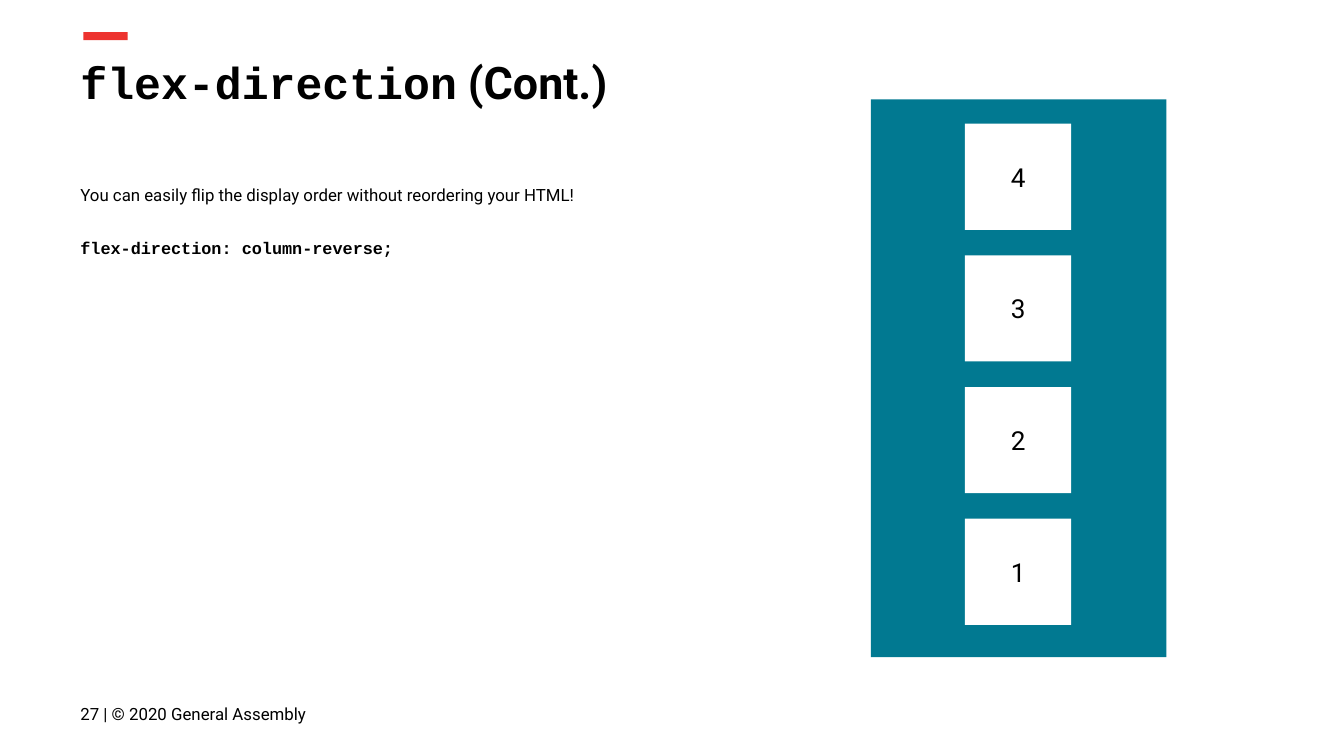
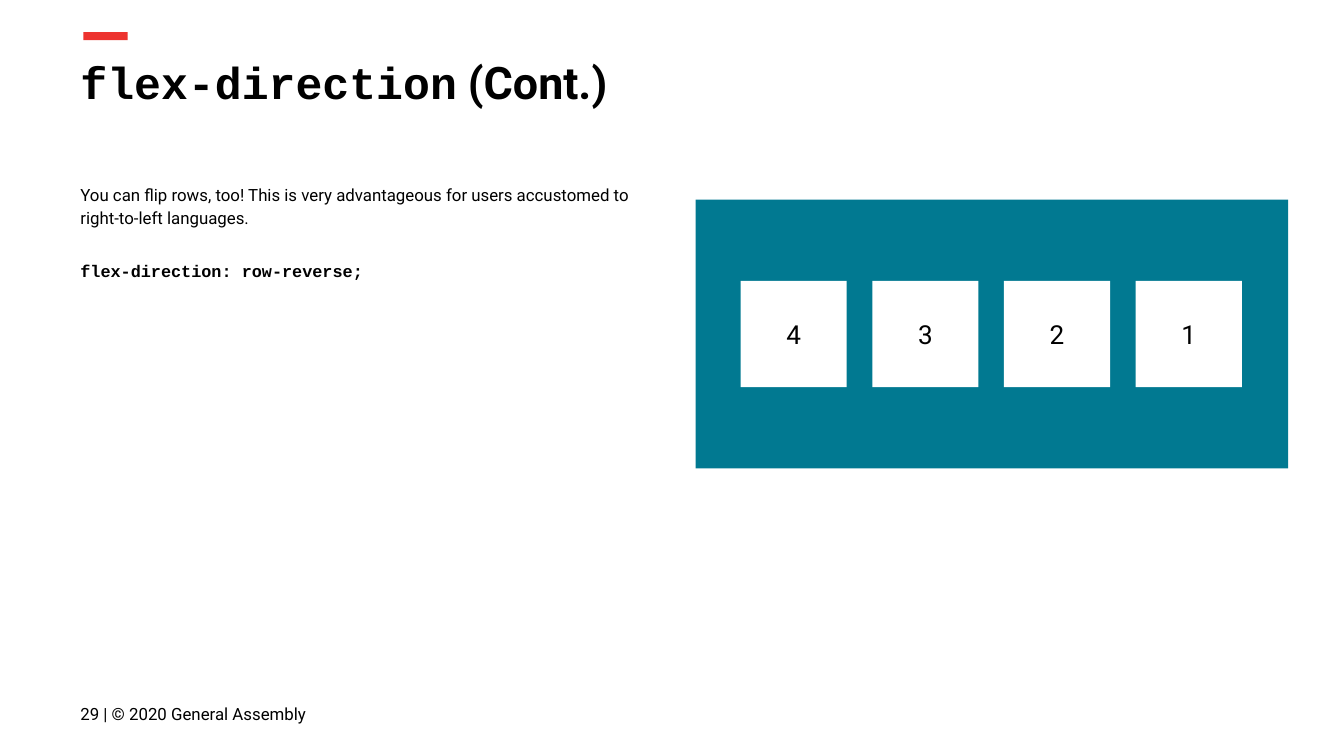
import dataclasses

import pptx
import pptx.dml.color
import pptx.enum.shapes
import pptx.enum.text
import pptx.util

Inches = pptx.util.Inches
Pt = pptx.util.Pt
Anchor = pptx.enum.text.MSO_ANCHOR
Align = pptx.enum.text.PP_ALIGN


@dataclasses.dataclass(frozen=True)
class Theme:
    ink: str = "000000"
    paper: str = "FFFFFF"
    accent: str = "ED332F"
    container: str = "017991"
    sans: str = "Roboto"
    mono: str = "Courier New"
    title_size: int = 24
    item_size: int = 14
    text_size: int = 9


theme = Theme()


def add_block(slide, box, fill):
    """Add a borderless rectangle."""
    block = slide.shapes.add_shape(
        pptx.enum.shapes.MSO_SHAPE.RECTANGLE, *map(Inches, box))
    block.shadow.inherit = False
    block.fill.solid()
    block.fill.fore_color.rgb = pptx.dml.color.RGBColor.from_string(fill)
    block.line.fill.background()
    return block


def set_text(shape, paragraphs, size, anchor=Anchor.TOP, align=Align.LEFT):
    """Write paragraphs, each a list of (text, font name, bold) runs."""
    frame = shape.text_frame
    frame.word_wrap = True
    frame.vertical_anchor = anchor
    frame.margin_left = frame.margin_right = Inches(0.1)
    frame.margin_top = frame.margin_bottom = Inches(0.1)
    for number, pieces in enumerate(paragraphs):
        paragraph = frame.add_paragraph() if number else frame.paragraphs[0]
        paragraph.alignment = align
        for text, font_name, bold in pieces:
            run = paragraph.add_run()
            run.text = text
            run.font.name = font_name
            run.font.bold = bold
            run.font.size = Pt(size)
            run.font.color.rgb = pptx.dml.color.RGBColor.from_string(theme.ink)
    return frame


# What differs between the slides
examples = [
    dict(page=27,
         message="You can easily flip the display order without reordering your HTML!",
         rule="flex-direction: column-reverse;", body_width=5.07,
         container=(6.48, 0.74, 2.2, 4.15), rotation=0,
         first_item=(7.18, 0.92), step=(0, 0.98)),
    dict(page=29,
         message="You can flip rows, too! This is very advantageous for users "
                 "accustomed to right-to-left languages.",
         rule="flex-direction: row-reverse;", body_width=4.5,
         container=(6.38, 0.28, 2, 4.41), rotation=270,
         first_item=(5.51, 2.09), step=(0.98, 0)),
]
item_side = 0.79

# 16:9 deck
deck = pptx.Presentation()
deck.slide_width = Inches(10)
deck.slide_height = Inches(10 * 9 / 16)

for example in examples:
    slide = deck.slides.add_slide(deck.slide_layouts[6])
    slide.background.fill.solid()
    slide.background.fill.fore_color.rgb = pptx.dml.color.RGBColor.from_string(theme.paper)

    # Accent bar
    add_block(slide, (0.62, 0.24, 0.33, 0.06), theme.accent)

    # Explanation and CSS rule
    body = slide.shapes.add_textbox(
        Inches(0.5), Inches(1.25), Inches(example["body_width"]), Inches(3.21))
    explanation, css_rule = set_text(
        body,
        [[(example["message"], theme.sans, False)],
         [(example["rule"], theme.mono, True)]],
        theme.text_size).paragraphs
    explanation.line_spacing = css_rule.line_spacing = 1.15
    css_rule.space_before = css_rule.space_after = Pt(16)

    # Title
    title = slide.shapes.add_textbox(Inches(0.5), Inches(0.31), Inches(9.32), Inches(0.63))
    set_text(title,
             [[("flex-direction", theme.mono, True), (" (Cont.)", theme.sans, True)]],
             theme.title_size)

    # Footer
    footer = slide.shapes.add_textbox(Inches(0.5), Inches(5.1), Inches(2.59), Inches(0.43))
    set_text(footer,
             [[(f"{example['page']} | © 2020 General Assembly", theme.sans, False)]],
             theme.text_size, Anchor.MIDDLE)

    # Flex container and its items in reverse order
    container = add_block(slide, example["container"], theme.container)
    container.rotation = example["rotation"]
    left, top = example["first_item"]
    step_x, step_y = example["step"]
    for position, label in enumerate("4321"):
        item = add_block(
            slide,
            (left + position * step_x, top + position * step_y, item_side, item_side),
            theme.paper)
        set_text(item, [[(label, theme.sans, False)]], theme.item_size,
                 Anchor.MIDDLE, Align.CENTER)

deck.save("out.pptx")
